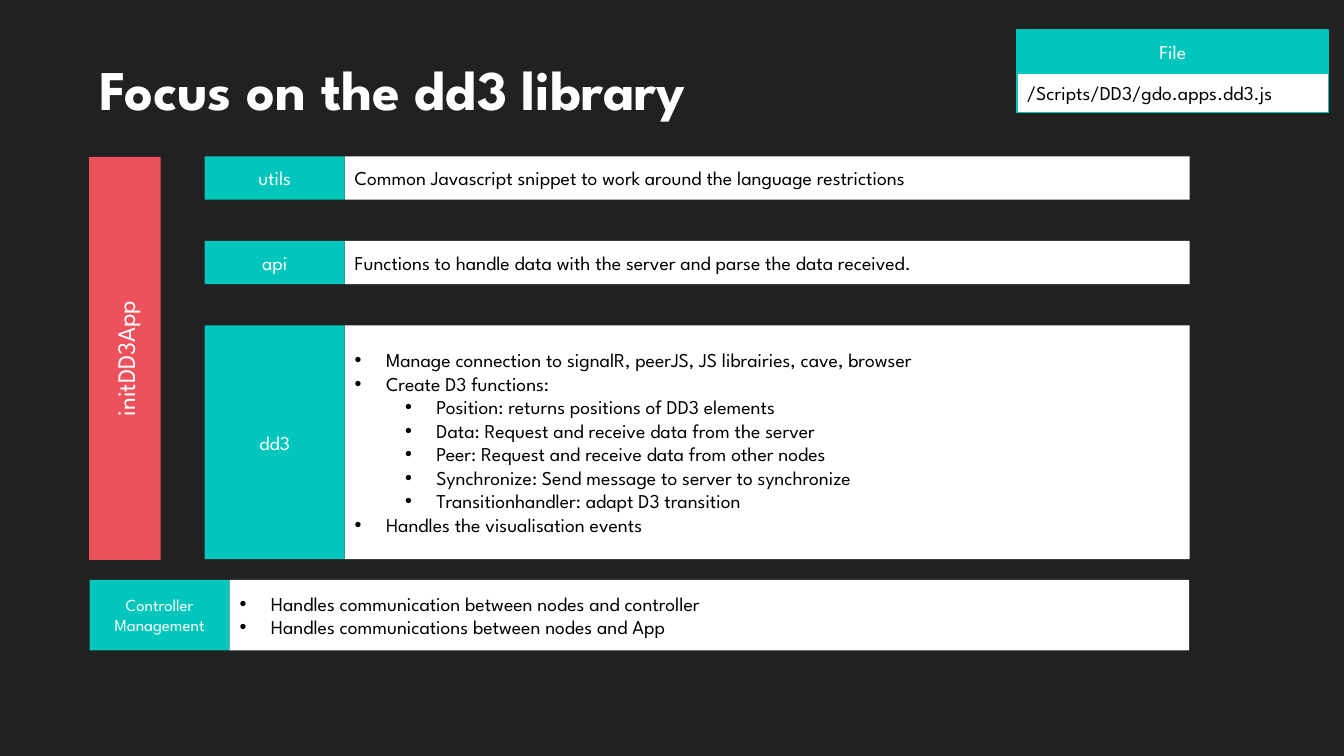
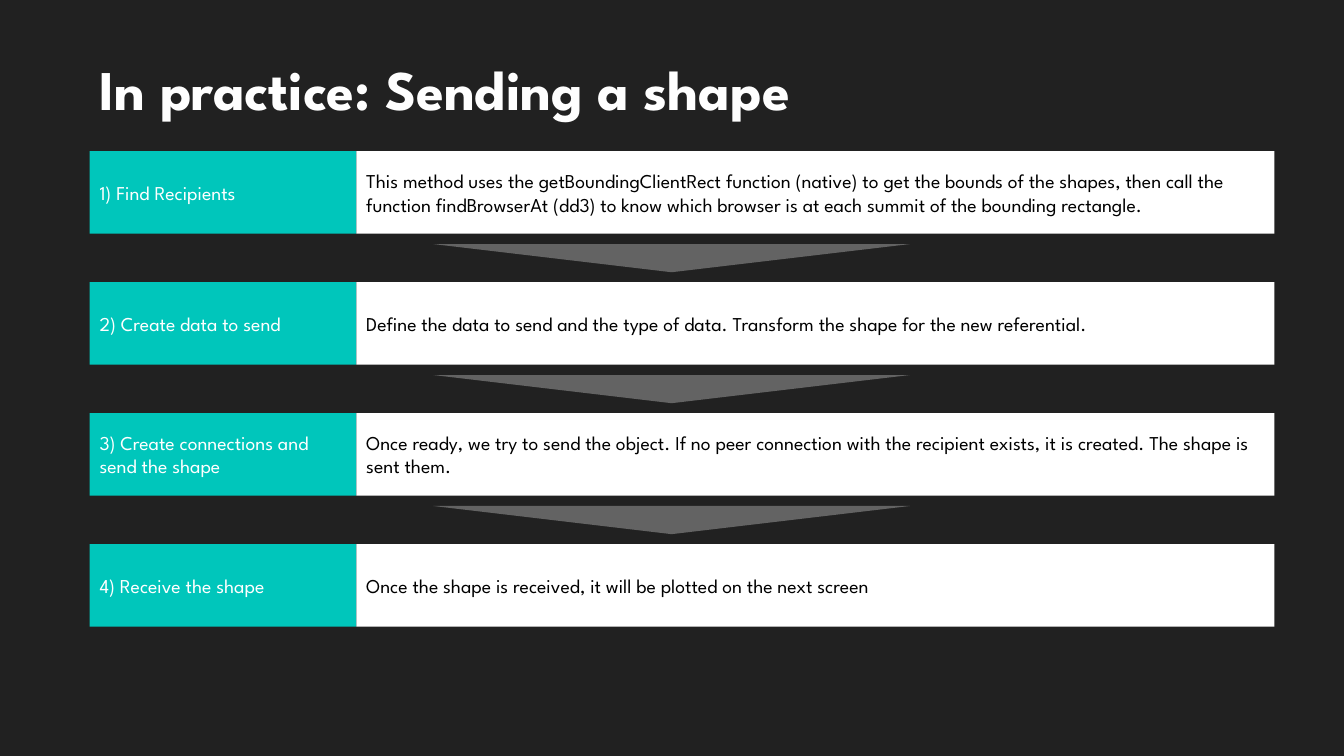
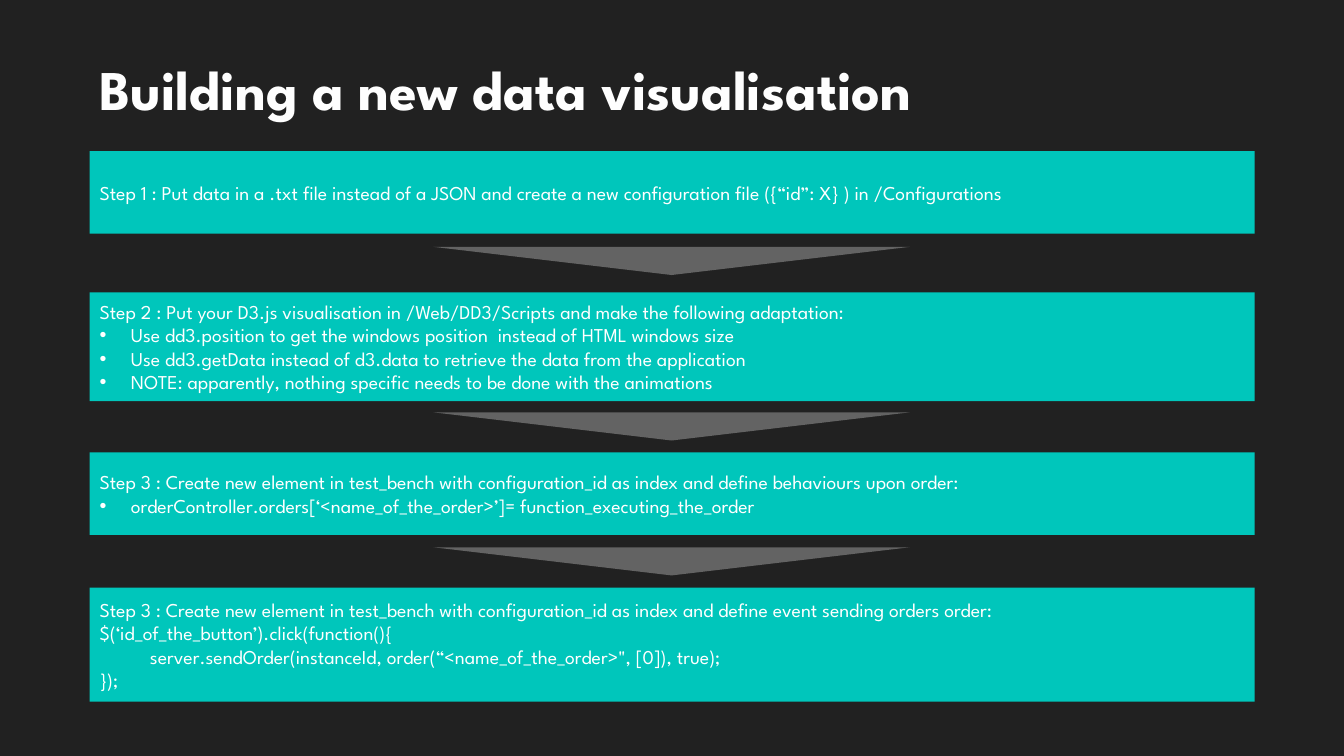
from collections import namedtuple

from lxml.etree import SubElement
from pptx import Presentation
from pptx.dml.color import RGBColor
from pptx.enum.shapes import MSO_SHAPE as Preset
from pptx.enum.text import MSO_ANCHOR as Anchor, PP_ALIGN as Align
from pptx.oxml.ns import qn
from pptx.util import Cm, Pt

COLORS = {
    "background": "212121",
    "title": "FEFEFE",
    "accent": "00C6BB",
    "module": "ED515C",
    "arrow": "636363",
    "white": "FFFFFF",
    "black": "000000",
}
FONT = "League Spartan"
LEFT, WIDTH = 2.26, 29.36
FIRST_TOP = 3.81
STEP_HEIGHT = 2.08
HANGING = 0.79
LEVEL_INDENT = 1.27

Line = namedtuple("Line", "text indent bullet level")


def plain(text, indent=0):
    """Describe a paragraph without a bullet."""
    return Line(text, indent, False, 0)


def bullet(text, level=0):
    """Describe a bulleted paragraph at an outline level."""
    return Line(text, HANGING + level * LEVEL_INDENT, True, level)


def color(name):
    """Look up a palette colour."""
    return RGBColor.from_string(COLORS[name])


def add_run(paragraph, text, size, ink, bold=False):
    """Append one styled run."""
    run = paragraph.add_run()
    run.text = text
    run.font.name = FONT
    run.font.size = Pt(size)
    run.font.bold = bold
    run.font.color.rgb = color(ink)


def set_indent(paragraph, line):
    """Apply the indent and bullet of a line."""
    paragraph.level = line.level
    props = paragraph._p.get_or_add_pPr()
    props.set("marL", str(Cm(line.indent)))
    if line.bullet:
        props.set("indent", str(-Cm(HANGING)))
        SubElement(props, qn("a:buFont")).set("typeface", "Arial")
        SubElement(props, qn("a:buChar")).set("char", "•")


def add_panel(slide, left, top, width, height, lines, fill="accent",
              ink="white", size=14, align=Align.LEFT, border=None):
    """Draw a filled rectangle holding one or more lines of text."""
    panel = slide.shapes.add_shape(
        Preset.RECTANGLE, Cm(left), Cm(top), Cm(width), Cm(height))
    panel.shadow.inherit = False
    panel.fill.solid()
    panel.fill.fore_color.rgb = color(fill)
    if border:
        panel.line.color.rgb = color(border)
        panel.line.width = Pt(1.25)
    else:
        panel.line.fill.background()
    frame = panel.text_frame
    frame.word_wrap = True
    frame.vertical_anchor = Anchor.MIDDLE
    for index, line in enumerate(lines):
        paragraph = frame.add_paragraph() if index else frame.paragraphs[0]
        paragraph.alignment = align
        set_indent(paragraph, line)
        add_run(paragraph, line.text, size, ink)
    return panel


def add_row(slide, left, top, label_width, body_width, height, label, body,
            label_size=14, label_align=Align.CENTER):
    """Draw a coloured label with its white description to the right."""
    add_panel(slide, left, top, label_width, height, [plain(label)],
              size=label_size, align=label_align)
    add_panel(slide, left + label_width, top, body_width, height, body,
              fill="white", ink="black")


def add_down_arrow(slide, top):
    """Draw the wide triangle that points to the next step."""
    arrow = slide.shapes.add_shape(
        Preset.ISOSCELES_TRIANGLE, Cm(10.92), Cm(top), Cm(12.01), Cm(0.71))
    arrow.rotation = 180
    arrow.shadow.inherit = False
    arrow.fill.solid()
    arrow.fill.fore_color.rgb = color("arrow")
    arrow.line.fill.background()


def add_titled_slide(prs, title):
    """Add a blank slide with the shared title."""
    slide = prs.slides.add_slide(prs.slide_layouts[6])
    heading = slide.shapes.add_textbox(Cm(LEFT), Cm(1.24), Cm(WIDTH), Cm(2.69))
    heading.text_frame.word_wrap = True
    add_run(heading.text_frame.paragraphs[0], title, 40, "title", bold=True)
    return slide


def build_library(prs):
    """Show the modules of the library."""
    slide = add_titled_slide(prs, "Focus on the dd3 library")
    add_panel(slide, 25.63, 0.76, 7.85, 1.09, [plain("File")],
              align=Align.CENTER, border="accent")
    add_panel(slide, 25.63, 1.85, 7.85, 0.99,
              [plain("/Scripts/DD3/gdo.apps.dd3.js")],
              fill="white", ink="black", border="accent")
    init_app = add_panel(slide, -1.93, 8.13, 10.16, 1.8, [plain("initDD3App")],
                         fill="module", size=18, align=Align.CENTER)
    init_app.rotation = 270

    modules = [
        ("utils", 1.09, [plain("Common Javascript snippet to work around the "
                               "language restrictions")]),
        ("api", 1.09, [plain("Functions to handle data with the server and "
                             "parse the data received.")]),
        ("dd3", 5.89, [
            bullet("Manage connection to signalR, peerJS, JS librairies, "
                   "cave, browser"),
            bullet("Create D3 functions:"),
            bullet("Position: returns positions of DD3 elements", 1),
            bullet("Data: Request and receive data from the server", 1),
            bullet("Peer: Request and receive data from other nodes", 1),
            bullet("Synchronize: Send message to server to synchronize", 1),
            bullet("Transitionhandler: adapt D3 transition", 1),
            bullet("Handles the visualisation events"),
        ]),
    ]
    for index, (module, height, duties) in enumerate(modules):
        add_row(slide, 5.16, 3.94 + index * 2.13, 3.53, 21.29, height,
                module, duties)
    add_row(slide, LEFT, 14.61, 3.53, 24.18, 1.78, "Controller Management", [
        bullet("Handles communication between nodes and controller"),
        bullet("Handles communications between nodes and App"),
    ], label_size=12)


def build_sending(prs):
    """Show the four steps of sending a shape."""
    slide = add_titled_slide(prs, "In practice: Sending a shape")
    steps = [
        ("1) Find Recipients",
         "This method uses the getBoundingClientRect function (native) to get "
         "the bounds of the shapes, then call the function findBrowserAt (dd3) "
         "to know which browser is at each summit of the bounding rectangle."),
        ("2) Create data to send",
         "Define the data to send and the type of data. Transform the shape "
         "for the new referential."),
        ("3) Create connections and send the shape",
         "Once ready, we try to send the object. If no peer connection with "
         "the recipient exists, it is created. The shape is sent them."),
        ("4) Receive the shape",
         "Once the shape is received, it will be plotted on the next screen"),
    ]
    pitch = 3.3
    for index, (step, detail) in enumerate(steps):
        top = FIRST_TOP + index * pitch
        if index:
            add_down_arrow(slide, top - 0.96)
        add_row(slide, LEFT, top, 6.72, 23.14, STEP_HEIGHT, step,
                [plain(detail)], label_align=Align.LEFT)


def build_visualisation(prs):
    """Show the steps for building a visualisation."""
    slide = add_titled_slide(prs, "Building a new data visualisation")
    new_element = ("Step 3 : Create new element in test_bench with "
                   "configuration_id as index and define ")
    steps = [
        (FIRST_TOP, STEP_HEIGHT, [
            plain("Step 1 : Put data in a .txt file instead of a JSON and "
                  "create a new configuration file ({“id”: X} ) in "
                  "/Configurations"),
        ]),
        (7.37, 2.74, [
            plain("Step 2 : Put your D3.js visualisation in /Web/DD3/Scripts "
                  "and make the following adaptation:"),
            bullet("Use dd3.position to get the windows position  instead of "
                   "HTML windows size"),
            bullet("Use dd3.getData instead of d3.data to retrieve the data "
                   "from the application"),
            bullet("NOTE: apparently, nothing specific needs to be done with "
                   "the animations"),
        ]),
        (11.4, STEP_HEIGHT, [
            plain(new_element + "behaviours upon order:"),
            bullet("orderController.orders[‘<name_of_the_order>’]= "
                   "function_executing_the_order"),
        ]),
        (14.81, 2.87, [
            plain(new_element + "event sending orders order:"),
            plain("$(‘id_of_the_button’).click(function(){"),
            plain("server.sendOrder(instanceId, "
                  "order(“<name_of_the_order>\", [0]), true);", LEVEL_INDENT),
            plain("});"),
        ]),
    ]
    for top, height, lines in steps:
        add_panel(slide, LEFT, top, WIDTH, height, lines)
    for arrow_top in (6.22, 10.39, 13.79):
        add_down_arrow(slide, arrow_top)


def main():
    """Build and save the presentation."""
    prs = Presentation()
    prs.slide_width, prs.slide_height = Cm(33.87), Cm(19.05)
    backdrop = prs.slide_master.background.fill
    backdrop.solid()
    backdrop.fore_color.rgb = color("background")
    build_library(prs)
    build_sending(prs)
    build_visualisation(prs)
    prs.save("out.pptx")


main()
